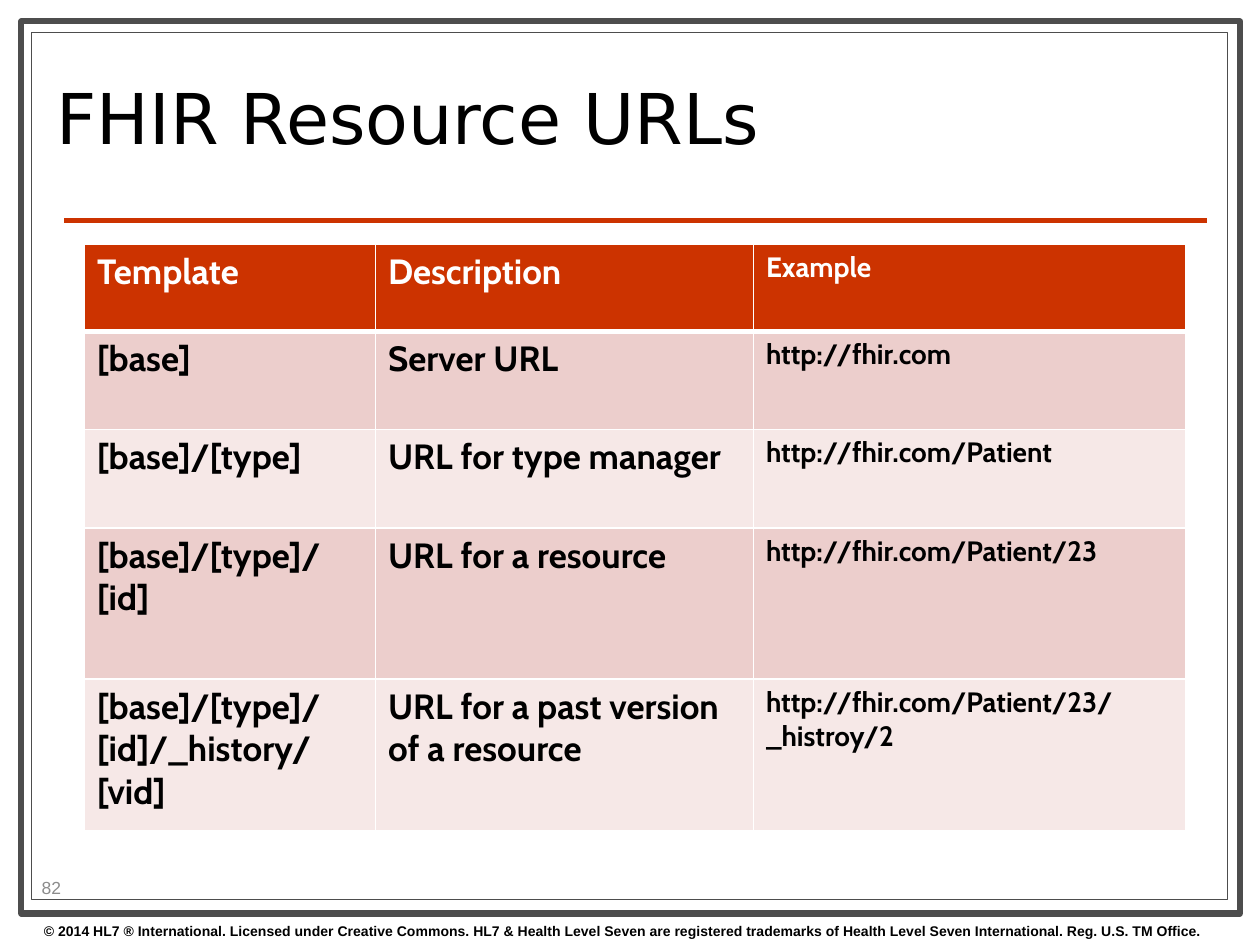
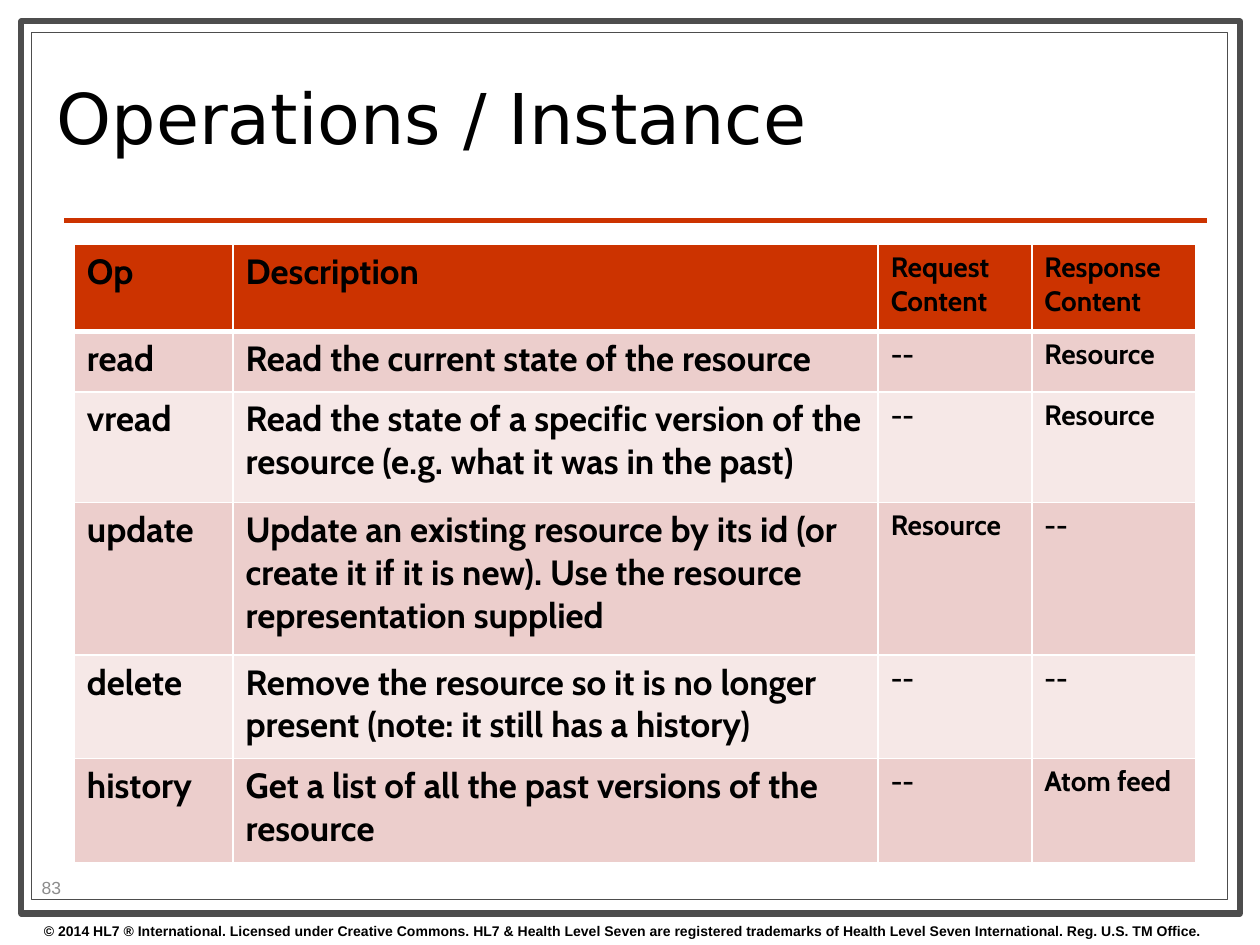
from lxml.etree import SubElement as Sub
from pptx import Presentation
from pptx.dml.color import RGBColor
from pptx.enum.shapes import MSO_CONNECTOR as Link, MSO_SHAPE as Kind
from pptx.enum.text import MSO_ANCHOR as Anchor, MSO_AUTO_SIZE as Fit, PP_ALIGN as Align
from pptx.oxml.ns import qn
from pptx.util import Inches, Pt

RED, GREY, PALE, PINK = "CC3300", "4D4D4D", "F6E8E7", "ECCECC"
BLACK, WHITE, DIM = "000000", "FFFFFF", "8C8C8C"
RIGHTS = ("© 2014 HL7 ® International. Licensed under Creative Commons. "
          "HL7 & Health Level Seven are registered trademarks of "
          "Health Level Seven International. Reg. U.S. TM Office.")

URLS = [
    ["Template", "Description", "Example"],
    ["[base]", "Server URL", "http://fhir.com"],
    ["[base]/[type]", "URL for type manager", "http://fhir.com/Patient"],
    ["[base]/[type]/[id]", "URL for a resource", "http://fhir.com/Patient/23"],
    ["[base]/[type]/[id]/_history/[vid]", "URL for a past version of a resource",
     "http://fhir.com/Patient/23/_histroy/2"],
]
OPS = [
    ["Op", "Description", "Request Content", "Response Content"],
    ["read", "Read the current state of the resource", "--", "Resource"],
    ["vread", "Read the state of a specific version of the resource "
     "(e.g. what it was in the past)", "--", "Resource"],
    ["update", "Update an existing resource by its id (or create it if it is new). "
     "Use the resource representation supplied", "Resource", "--"],
    ["delete", "Remove the resource so it is no longer present "
     "(note: it still has a history)", "--", "--"],
    ["history", "Get a list of all the past versions of the resource", "--", "Atom feed"],
]


def paint(code):
    return RGBColor.from_string(code)


def inch(*nums):
    return [Inches(n) for n in nums]


def write(frame, text, size, font, ink, bold=False):
    frame.word_wrap = True
    para = frame.paragraphs[0]
    para.alignment = Align.LEFT
    run = para.add_run()
    run.text = text
    run.font.size, run.font.name, run.font.bold = Pt(size), font, bold
    run.font.color.rgb = paint(ink)
    return para


def add_frame(slide, box, width):
    rect = slide.shapes.add_shape(Kind.RECTANGLE, *inch(*box))
    rect.shadow.inherit = False
    rect.fill.solid()
    rect.fill.fore_color.rgb = paint(WHITE)
    rect.line.color.rgb = paint(GREY)
    rect.line.width = Pt(width)


def add_rule(slide):
    rule = slide.shapes.add_connector(Link.STRAIGHT, *inch(0.51, 1.75, 9.58, 1.75))
    rule.line.color.rgb = paint(RED)
    rule.line.width = Pt(3)
    Sub(rule.element.spPr, qn("a:effectLst"))


def add_title(slide, text):
    title = slide.shapes.title
    title.element.getparent().append(title.element)
    title.left, title.top, title.width, title.height = inch(0.35, 0.36, 7.17, 1.26)
    frame = title.text_frame
    frame.auto_size = Fit.NONE
    frame.vertical_anchor = Anchor.MIDDLE
    write(frame, text, 40, "DejaVu Sans", BLACK).line_spacing = 0.8


def add_number(slide, number):
    disc = slide.shapes.add_shape(Kind.OVAL, *inch(0.16, 6.79, 0.5, 0.5))
    disc.shadow.inherit = False
    disc.fill.background()
    disc.line.fill.background()
    frame = disc.text_frame
    frame.margin_right = 0
    frame.vertical_anchor = Anchor.MIDDLE
    write(frame, str(number), 10, "Arial", DIM)


def add_edges(cell, base):
    props = cell._tc.get_or_add_tcPr()
    for at, side in enumerate("LRTB"):
        width = base if side == "B" else 1
        line = props.makeelement(qn(f"a:ln{side}"), {"w": str(Pt(width))})
        Sub(Sub(line, qn("a:solidFill")), qn("a:srgbClr"), val=WHITE)
        props.insert(at, line)


def add_grid(slide, left, cols, heights, data, head):
    shape = slide.shapes.add_table(len(data), len(cols),
                                   *inch(left, 1.94, sum(cols), sum(heights)))
    table = shape.table
    for col, width in zip(table.columns, cols):
        col.width = Inches(width)
    for row, height in zip(table.rows, heights):
        row.height = Inches(height)
    for r, row in enumerate(data):
        fill = RED if r == 0 else PINK if r % 2 else PALE
        for c, text in enumerate(row):
            cell = table.cell(r, c)
            cell.fill.solid()
            cell.fill.fore_color.rgb = paint(fill)
            add_edges(cell, 1 if r else 3)
            write(cell.text_frame, text, 20 if c < 2 else 16, "Cabin",
                  BLACK if r else head, True)


def add_page(deck, title, number):
    slide = deck.slides.add_slide(deck.slide_layouts[5])
    add_frame(slide, (0.17, 0.17, 9.67, 7.08), 3.5)
    add_frame(slide, (0.25, 0.26, 9.49, 6.88), 0.75)
    add_rule(slide)
    foot = slide.shapes.add_textbox(*inch(0.25, 7.27, 10, 0.23))
    write(foot.text_frame, RIGHTS, 8, "Arial", BLACK, True)
    add_title(slide, title)
    add_number(slide, number)
    return slide


def main():
    deck = Presentation()
    deck.slide_width, deck.slide_height = inch(10, 7.5)
    page = add_page(deck, "FHIR Resource URLs", 82)
    add_grid(page, 0.67, [2.31, 3, 3.43], [0.69, 0.78, 0.78, 1.2, 1.2], URLS, WHITE)
    page = add_page(deck, "Operations / Instance", 83)
    add_grid(page, 0.59, [1.26, 5.12, 1.22, 1.3],
             [0.69, 0.48, 0.88, 1.21, 0.82, 0.83], OPS, BLACK)
    deck.save("out.pptx")


if __name__ == "__main__":
    main()
